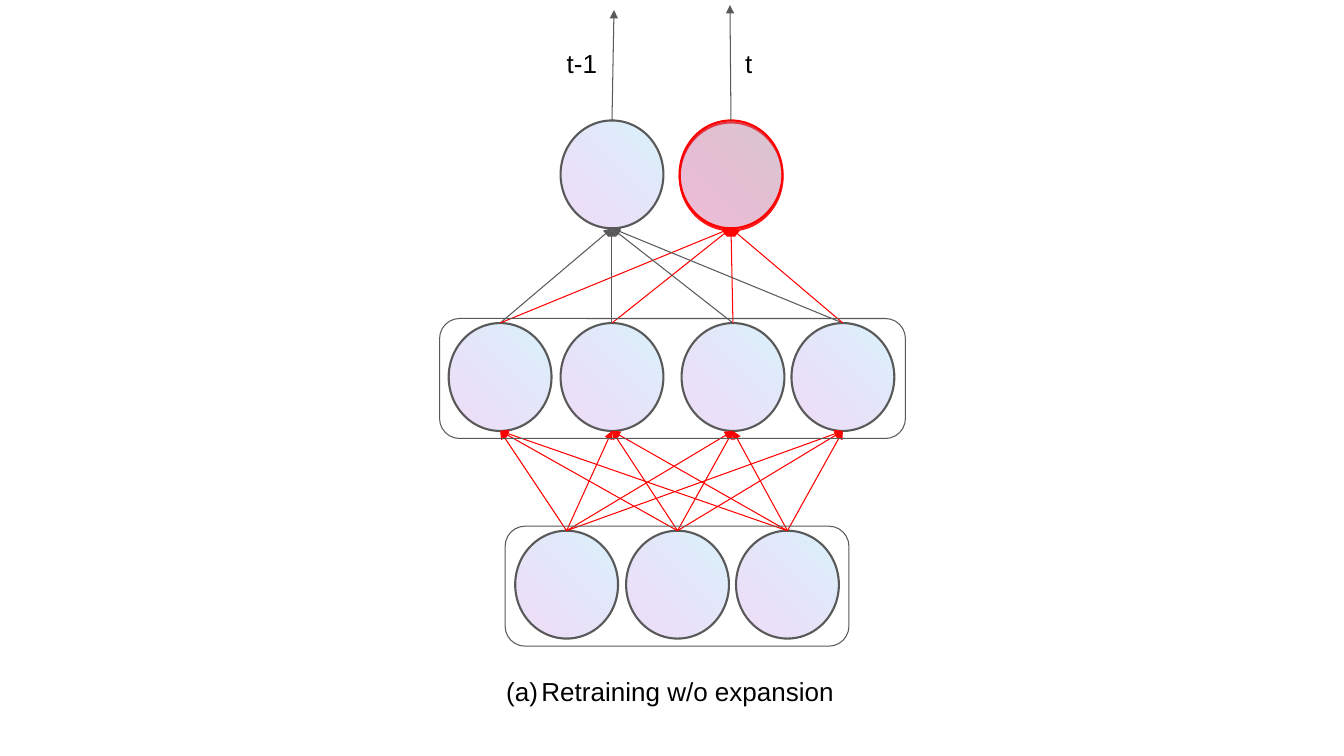
from dataclasses import dataclass

from lxml import etree
from pptx import Presentation
from pptx import util as u
from pptx.dml.color import RGBColor
from pptx.enum import shapes, text
from pptx.oxml import parse_xml
from pptx.oxml.ns import nsdecls, qn


@dataclass(frozen=True)
class Theme:
    old: str = "595959"
    new: str = "FF0000"
    ink: str = "000000"
    stops: tuple = ((0, "69D4F4", 26), (100, "9F39D5", 17))
    font: str = "Arial"
    size: float = 18.6
    edge: float = 0.75
    outline: float = 1.5


class Diagram:
    node_w, node_h = 1.02, 1.07
    reach = 0.535

    def __init__(self, prs, theme):
        self.theme = theme
        self.s = prs.slides.add_slide(prs.slide_layouts[6])

    def stroke(self, line, color, width):
        line.color.rgb = RGBColor.from_string(color)
        line.width = u.Pt(width)

    def node(self, cx, cy, color):
        w, h = self.node_h, self.node_w
        sp = self.s.shapes.add_shape(
            shapes.MSO_SHAPE.OVAL, u.Inches(cx - w / 2), u.Inches(cy - h / 2),
            u.Inches(w), u.Inches(h))
        sp.rotation = 270
        sp.shadow.inherit = False
        self.stroke(sp.line, color, self.theme.outline)
        stops = "".join(
            f'<a:gs pos="{pos * 1000}"><a:srgbClr val="{rgb}">'
            f'<a:alpha val="{alpha * 1000}"/></a:srgbClr></a:gs>'
            for pos, rgb, alpha in self.theme.stops)
        sp.element.spPr.find(qn("a:prstGeom")).addnext(parse_xml(
            f'<a:gradFill rotWithShape="1" {nsdecls("a")}><a:gsLst>{stops}</a:gsLst>'
            '<a:lin ang="13500000" scaled="0"/></a:gradFill>'))
        return sp

    def glow(self, sp, color):
        sp.element.spPr.find(qn("a:effectLst")).append(parse_xml(
            f'<a:outerShdw {nsdecls("a")} blurRad="0" dist="{u.Pt(1.5)}" dir="5100000" '
            f'algn="bl" rotWithShape="0"><a:srgbClr val="{color}">'
            '<a:alpha val="89000"/></a:srgbClr></a:outerShdw>'))

    def arrow(self, x1, y1, x2, y2, color):
        c = self.s.shapes.add_connector(
            shapes.MSO_CONNECTOR.STRAIGHT, u.Inches(x1), u.Inches(y1),
            u.Inches(x2), u.Inches(y2))
        self.stroke(c.line, color, self.theme.edge)
        etree.SubElement(c.line._get_or_add_ln(), qn("a:tailEnd"), type="triangle")
        etree.SubElement(c.element.spPr, qn("a:effectLst"))

    def link(self, lower, upper, color):
        self.arrow(lower[0], lower[1] - self.reach,
                   upper[0], upper[1] + self.reach, color)

    def frame(self, x, y, w, h):
        sp = self.s.shapes.add_shape(
            shapes.MSO_SHAPE.ROUNDED_RECTANGLE, u.Inches(x), u.Inches(y),
            u.Inches(w), u.Inches(h))
        sp.shadow.inherit = False
        sp.fill.background()
        self.stroke(sp.line, self.theme.old, self.theme.edge)

    def label(self, x, y, w, h, words, numbered=False):
        tf = self.s.shapes.add_textbox(
            u.Inches(x), u.Inches(y), u.Inches(w), u.Inches(h)).text_frame
        tf.word_wrap = True
        tf.vertical_anchor = text.MSO_ANCHOR.TOP
        tf.margin_left = tf.margin_right = u.Inches(0.13)
        tf.margin_top = tf.margin_bottom = u.Inches(0.13)
        p = tf.paragraphs[0]
        if numbered:
            pPr = p._p.get_or_add_pPr()
            pPr.set("marL", str(u.Inches(0.5)))
            pPr.set("indent", str(u.Inches(-0.35)))
            clr = etree.SubElement(pPr, qn("a:buClr"))
            etree.SubElement(clr, qn("a:srgbClr"), val=self.theme.ink)
            etree.SubElement(pPr, qn("a:buFont"), typeface=self.theme.font)
            etree.SubElement(pPr, qn("a:buAutoNum"), type="alphaLcParenBoth")
        r = p.add_run()
        r.text = words
        r.font.name = self.theme.font
        r.font.size = u.Pt(self.theme.size)
        r.font.color.rgb = RGBColor.from_string(self.theme.ink)


def main():
    prs = Presentation()
    prs.slide_width, prs.slide_height = u.Inches(13.33), u.Inches(7.5)
    theme = Theme()
    d = Diagram(prs, theme)

    inputs = [(x, 5.8) for x in (5.62, 6.72, 7.81)]
    hidden = [(x, 3.74) for x in (4.96, 6.07, 7.27, 8.36)]
    old_task, new_task = (6.07, 1.73), (7.25, 1.73)

    for center in inputs + hidden + [old_task]:
        d.node(*center, theme.old)
    d.glow(d.node(*new_task, theme.new), theme.new)

    for lower in inputs:
        for upper in hidden:
            d.link(lower, upper, theme.new)
    for lower in hidden:
        d.link(lower, old_task, theme.old)
        d.link(lower, new_task, theme.new)
    d.arrow(6.07, 1.2, 6.09, 0.1, theme.old)
    d.arrow(7.25, 1.2, 7.24, 0.05, theme.old)

    d.frame(4.36, 3.16, 4.62, 1.19)
    d.frame(5.01, 5.22, 3.41, 1.19)

    d.label(4.74, 6.57, 3.95, 0.58, "Retraining w/o expansion", numbered=True)
    d.label(5.49, 0.34, 0.81, 0.58, "t-1")
    d.label(7.26, 0.34, 0.81, 0.89, "t")
    prs.save("out.pptx")


if __name__ == "__main__":
    main()
